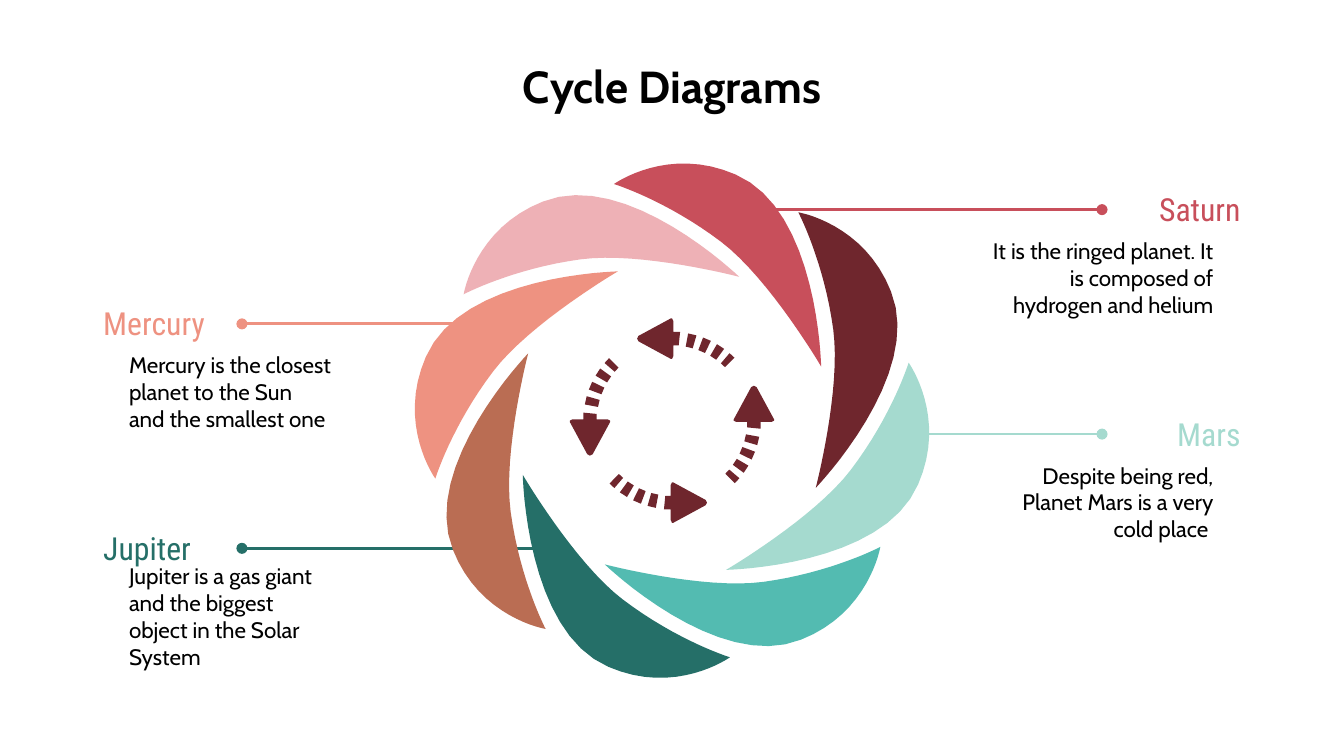
from dataclasses import dataclass
from math import cos, radians, sin

from lxml.etree import SubElement
from pptx import Presentation
from pptx.dml.color import RGBColor
from pptx.enum.shapes import MSO_CONNECTOR
from pptx.enum.text import MSO_ANCHOR, MSO_AUTO_SIZE, PP_ALIGN
from pptx.oxml.ns import qn
from pptx.util import Inches, Pt


@dataclass(frozen=True)
class Theme:
    heading_font: str = "Cabin"
    label_font: str = "Roboto Condensed"
    title_size: int = 24
    label_size: int = 17
    body_size: int = 12
    ink: str = "000000"
    brown: str = "BA6D53"
    salmon: str = "EE9281"
    pink: str = "EEB1B6"
    red: str = "C84F5B"
    maroon: str = "6F262D"
    mint: str = "A5DACF"
    teal: str = "53BBB1"
    green: str = "256F68"


THEME = Theme()
CENTER = (5, 3.13)
PETAL_COLORS = (THEME.brown, THEME.salmon, THEME.pink, THEME.red,
                THEME.maroon, THEME.mint, THEME.teal, THEME.green)
PETAL = (
    ((-1.07, -0.5), (-1.07, -0.5), (-1.88, 0.34), (-1.63, 0.96)),
    ((-1.63, 0.96), (-1.43, 1.47), (-0.94, 1.55), (-0.94, 1.55)),
    ((-0.94, 1.55), (-0.94, 1.55), (-1.13, 1.19), (-1.2, 0.68)),
    ((-1.2, 0.68), (-1.26, 0.23), (-1.07, -0.5), (-1.07, -0.5)),
)
ARROWHEAD = (
    (-0.01, -0.76), (-0.25, -0.63), (-0.26, -0.61), (-0.25, -0.59),
    (-0.01, -0.46), (0, -0.46), (0.01, -0.48), (0.01, -0.56),
    (0.05, -0.56), (0.06, -0.66), (0.01, -0.66), (0.01, -0.74), (0, -0.76),
)
CALLOUTS = (
    ("Mercury", "Mercury is the closest planet to the Sun and the smallest one",
     THEME.salmon, 2.17, 3.56, 0.29),
    ("Jupiter", "Jupiter is a gas giant and the biggest object in the Solar System",
     THEME.green, 3.84, 4.12, 0.29),
    ("Saturn", "It is the ringed planet. It is composed of hydrogen and helium",
     THEME.red, 1.32, 5.66, 0.1),
    ("Mars", "Despite being red, Planet Mars is a very cold place ",
     THEME.mint, 2.99, 6.8, 0.3),
)


def write_text(holder, wording, *, box, font, size, color=THEME.ink, bold=False,
               align=PP_ALIGN.LEFT, anchor=MSO_ANCHOR.MIDDLE,
               left_inset=0.1, right_inset=0.1):
    holder.left, holder.top, holder.width, holder.height = map(Inches, box)
    frame = holder.text_frame
    frame.word_wrap = True
    frame.auto_size = MSO_AUTO_SIZE.NONE
    frame.vertical_anchor = anchor
    frame.margin_left, frame.margin_right = Inches(left_inset), Inches(right_inset)
    frame.margin_top = frame.margin_bottom = Inches(0.1)
    paragraph = frame.paragraphs[0]
    paragraph.alignment = align
    run = paragraph.add_run()
    run.text = wording
    run.font.name, run.font.size, run.font.bold = font, Pt(size), bold
    run.font.color.rgb = RGBColor.from_string(color)


def add_text(slide, wording, **style):
    write_text(slide.shapes.add_textbox(0, 0, 0, 0), wording, **style)


def add_leader(slide, start_x, end_x, y, color):
    leader = slide.shapes.add_connector(
        MSO_CONNECTOR.STRAIGHT, Inches(start_x), Inches(y), Inches(end_x), Inches(y))
    leader.line.color.rgb = RGBColor.from_string(color)
    leader.line.width = Pt(1.5)
    SubElement(leader.line._get_or_add_ln(), qn("a:headEnd"), type="oval")
    SubElement(leader._element.spPr, qn("a:effectLst"))


def add_callout(slide, name, blurb, color, top, leader_end, left_inset):
    on_left = leader_end < CENTER[0]
    align = PP_ALIGN.LEFT if on_left else PP_ALIGN.RIGHT
    add_leader(slide, 1.8 if on_left else 8.2, leader_end, top + 0.24, color)
    add_text(slide, name, box=(0.67 if on_left else 8.2, top, 1.13, 0.47),
             font=THEME.label_font, size=THEME.label_size, color=color, align=align)
    add_text(slide, blurb, box=(0.67 if on_left else 7.23, top + 0.47, 2.1, 0.55),
             font=THEME.heading_font, size=THEME.body_size, align=align,
             left_inset=left_inset, right_inset=0.3)


def curve_points(curves, steps=16):
    points = []
    for a, b, c, d in curves:
        for step in range(steps):
            t = step / steps
            u = 1 - t
            points.append(tuple(
                u**3 * p + 3 * u * u * t * q + 3 * u * t * t * r + t**3 * s
                for p, q, r, s in zip(a, b, c, d)))
    return points


def add_outline(slide, points, degrees, color):
    turn_cos, turn_sin = cos(radians(degrees)), sin(radians(degrees))
    turned = [(Inches(CENTER[0] + x * turn_cos - y * turn_sin),
               Inches(CENTER[1] + x * turn_sin + y * turn_cos)) for x, y in points]
    builder = slide.shapes.build_freeform(*turned[0])
    builder.add_line_segments(turned[1:], close=True)
    outline = builder.convert_to_shape()
    outline.shadow.inherit = False
    outline.fill.solid()
    outline.fill.fore_color.rgb = RGBColor.from_string(color)
    outline.line.fill.background()


def ring_dash(start, sweep, inner=0.56, outer=0.66):
    corners = ((outer, start), (inner, start),
               (inner, start + sweep), (outer, start + sweep))
    return [(radius * sin(radians(angle)), -radius * cos(radians(angle)))
            for radius, angle in corners]


def add_petals(slide):
    petal = curve_points(PETAL)
    for index, color in enumerate(PETAL_COLORS):
        add_outline(slide, petal, index * 45, color)


def add_dashed_arrows(slide):
    for quarter in range(0, 360, 90):
        for dash in range(4):
            sweep = 4.3 if dash == 3 else 5.5
            add_outline(slide, ring_dash(10.5 + 10 * dash, sweep), quarter, THEME.maroon)
        add_outline(slide, ARROWHEAD, quarter, THEME.maroon)


def main():
    deck = Presentation()
    deck.slide_width = Inches(10)
    deck.slide_height = deck.slide_width * 9 // 16
    slide = deck.slides.add_slide(deck.slide_layouts[5])
    write_text(slide.shapes.title, "Cycle Diagrams", box=(0.2, 0.34, 9.6, 0.63),
               font=THEME.heading_font, size=THEME.title_size, bold=True,
               align=PP_ALIGN.CENTER, anchor=MSO_ANCHOR.TOP)
    for callout in CALLOUTS:
        add_callout(slide, *callout)
    add_petals(slide)
    add_dashed_arrows(slide)
    deck.save("out.pptx")


if __name__ == "__main__":
    main()
